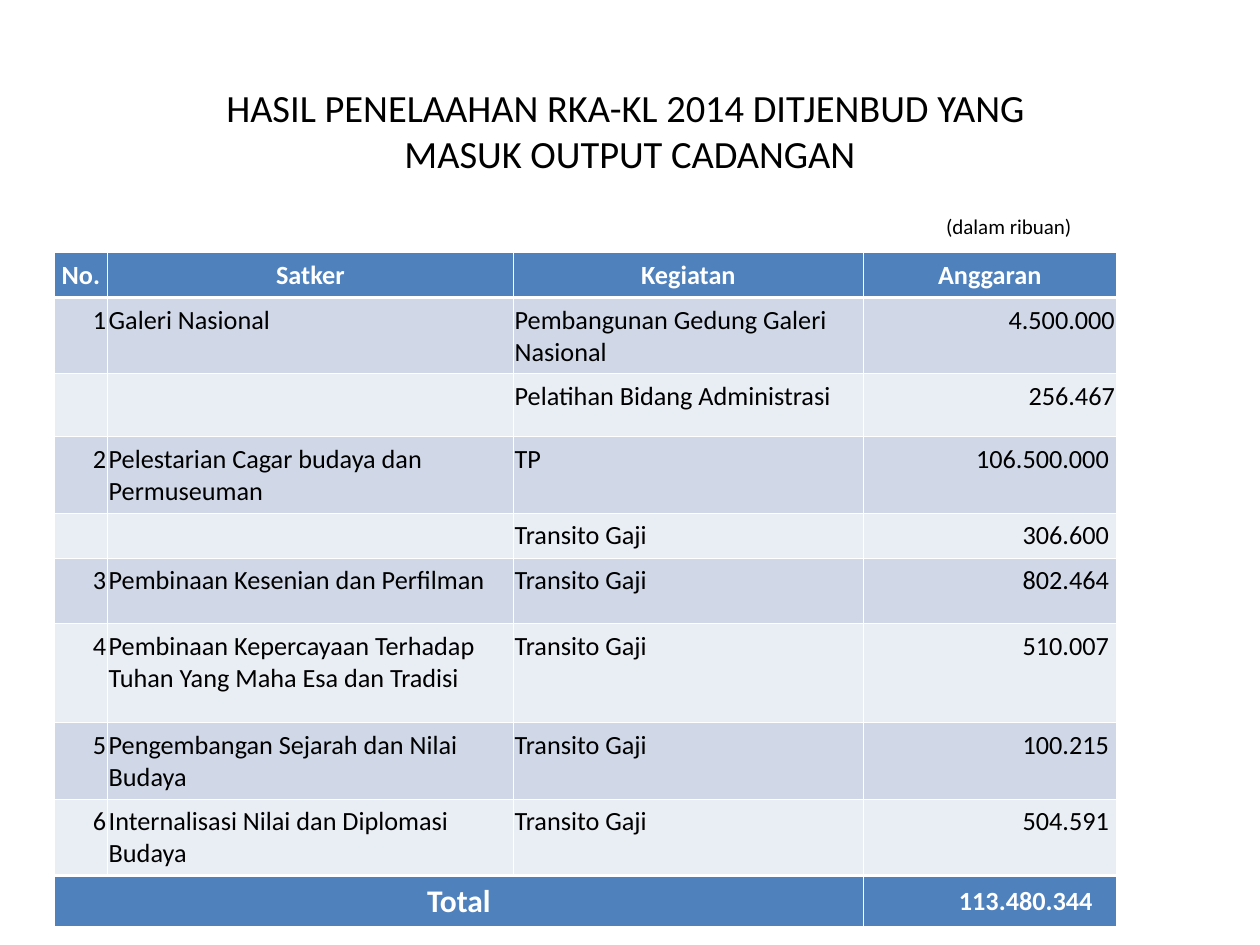
from lxml import etree
from pptx import Presentation
from pptx import util as u
from pptx.dml import color
from pptx.enum import text
from pptx.oxml import ns

Pt = u.Pt
FONT = "Calibri"
COLORS = {"ink": "000000", "white": "FFFFFF", "blue": "4F81BD",
          "dark_band": "D0D8E8", "light_band": "E9EDF4"}
LEFT, CENTER, RIGHT = text.PP_ALIGN.LEFT, text.PP_ALIGN.CENTER, text.PP_ALIGN.RIGHT


def add_span(para, words, size, ink, bold=False):
    span = para.add_run()
    span.text = words
    span.font.name = FONT
    span.font.size = Pt(size)
    span.font.bold = bold
    span.font.color.rgb = color.RGBColor.from_string(COLORS[ink])


def add_border(cell, side, width):
    line = etree.SubElement(cell._tc.get_or_add_tcPr(), ns.qn("a:" + side), w=str(Pt(width)))
    fill = etree.SubElement(line, ns.qn("a:solidFill"))
    etree.SubElement(fill, ns.qn("a:srgbClr"), val=COLORS["white"])


deck = Presentation()
deck.slide_width, deck.slide_height = Pt(720), Pt(540)
page = deck.slides.add_slide(deck.slide_layouts[6])

title = page.shapes.add_textbox(Pt(36), Pt(41), Pt(648), Pt(67)).text_frame
title.word_wrap = True
title.vertical_anchor = text.MSO_ANCHOR.MIDDLE
para = title.paragraphs[0]
para.alignment = CENTER
add_span(para, "HASIL PENELAAHAN RKA-KL 2014 DITJENBUD YANG ", 22, "ink")
para.add_line_break()
add_span(para, "MASUK OUTPUT CADANGAN", 22, "ink")

rows = [
    ("No.", "Satker", "Kegiatan", "Anggaran"),
    ("1", "Galeri Nasional", "Pembangunan Gedung Galeri Nasional", "4.500.000"),
    ("", "", "Pelatihan Bidang Administrasi", "256.467"),
    ("2", "Pelestarian Cagar budaya dan Permuseuman", "TP", "106.500.000 "),
    ("", "", "Transito Gaji", "306.600 "),
    ("3", "Pembinaan Kesenian dan Perfilman", "Transito Gaji", "802.464 "),
    ("4", "Pembinaan Kepercayaan Terhadap Tuhan Yang Maha Esa dan Tradisi",
     "Transito Gaji", "510.007 "),
    ("5", "Pengembangan Sejarah dan Nilai Budaya", "Transito Gaji", "100.215 "),
    ("6", "Internalisasi Nilai dan Diplomasi Budaya", "Transito Gaji", "504.591 "),
    ("Total", "", "", "113.480.344"),
]
widths = [30.4, 232, 200, 144.5]
heights = [19.5, 36.5, 36, 37.5, 19, 37.5, 56.5, 37.5, 37.5, 24.5]
alignments = [RIGHT, LEFT, LEFT, RIGHT]
last = len(rows) - 1

budget = page.shapes.add_table(len(rows), len(widths), Pt(31), Pt(144.25),
                               Pt(sum(widths)), Pt(sum(heights))).table
budget.first_row = budget.horz_banding = False
for column, width in zip(budget.columns, widths):
    column.width = Pt(width)
for row, height in zip(budget.rows, heights):
    row.height = Pt(height)
budget.cell(last, 0).merge(budget.cell(last, 2))

for r, entries in enumerate(rows):
    strong = r in (0, last)
    band = "blue" if strong else "dark_band" if r % 2 else "light_band"
    for c, words in enumerate(entries):
        cell = budget.cell(r, c)
        cell.margin_left = cell.margin_right = Pt(0.75)
        cell.margin_top = cell.margin_bottom = Pt(3.85)
        add_border(cell, "lnL", 0.45)
        add_border(cell, "lnR", 0.45)
        add_border(cell, "lnT", 1.47 if r in (1, last) else 0.45)
        add_border(cell, "lnB", 1.47 if r in (0, last - 1) else 0.45)
        cell.fill.solid()
        cell.fill.fore_color.rgb = color.RGBColor.from_string(COLORS[band])
        para = cell.text_frame.paragraphs[0]
        para.alignment = CENTER if strong else alignments[c]
        if strong:
            cell.vertical_anchor = text.MSO_ANCHOR.MIDDLE
        if words:
            add_span(para, words, 18 if words == "Total" else 15,
                     "white" if strong else "ink", strong)
        else:
            etree.SubElement(para._p, ns.qn("a:endParaRPr"), sz="1500")

total = budget.cell(last, 3)
total.margin_right = Pt(13.5)
total.text_frame.paragraphs[0].alignment = RIGHT

unit = page.shapes.add_textbox(Pt(533.5), Pt(118.25), Pt(90), Pt(21.5)).text_frame
unit.word_wrap = True
add_span(unit.paragraphs[0], "(dalam ribuan)", 12, "ink")

deck.save("out.pptx")
